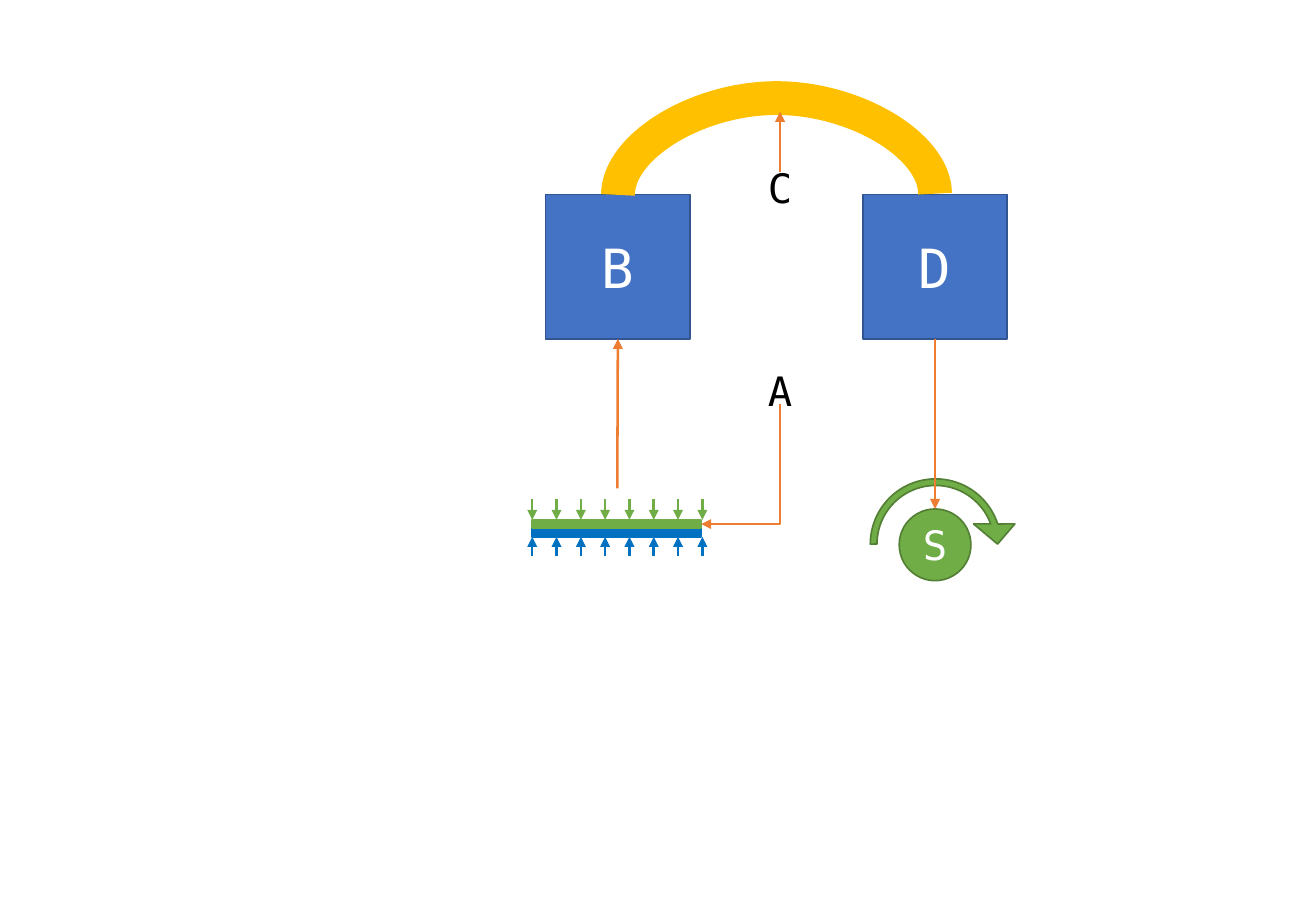
from dataclasses import dataclass
from typing import NamedTuple

from lxml.etree import SubElement
from pptx import Presentation
from pptx.dml.color import RGBColor
from pptx.enum.shapes import MSO_CONNECTOR, MSO_SHAPE
from pptx.enum.text import MSO_ANCHOR, PP_ALIGN
from pptx.oxml.ns import qn
from pptx.shapes.base import BaseShape
from pptx.util import Emu, Inches, Pt

PX = Inches(1) // 100
TOP, BOTTOM, RIGHT = 0, 2, 3


@dataclass(frozen=True)
class Theme:
    font: str = "DejaVu Sans Mono"
    blue: str = "4472C4"
    blue_edge: str = "325491"
    green: str = "70AD47"
    green_edge: str = "538035"
    deep_blue: str = "0070C0"
    orange: str = "ED7D31"
    gold: str = "FFC000"
    white: str = "FFFFFF"
    black: str = "000000"
    box_size: int = 32
    label_size: int = 24
    edge: float = 1
    arrow: float = 1.5
    arch: float = 20


class Joint(NamedTuple):
    """The middle of one side of a shape."""
    shape: BaseShape
    side: int


class Diagram:
    def __init__(self, slide, theme):
        self.s, self.theme = slide, theme

    def shape(self, kind, x, y, w, h, fill=None, edge=None, adjust=()):
        sp = self.s.shapes.add_shape(kind, *(Emu(v * PX) for v in (x, y, w, h)))
        sp.shadow.inherit = False
        for i, value in enumerate(adjust):
            sp.adjustments[i] = value
        if fill:
            sp.fill.solid()
            sp.fill.fore_color.rgb = RGBColor.from_string(fill)
            sp.line.color.rgb = RGBColor.from_string(edge or fill)
            sp.line.width = Pt(self.theme.edge)
        else:
            sp.fill.background()
            sp.line.fill.background()
        return sp

    def text(self, sp, text, size, color):
        tf = sp.text_frame
        tf.word_wrap = True
        tf.vertical_anchor = MSO_ANCHOR.MIDDLE
        p = tf.paragraphs[0]
        p.alignment = PP_ALIGN.CENTER
        r = p.add_run()
        r.text = text
        r.font.name, r.font.size = self.theme.font, Pt(size)
        r.font.color.rgb = RGBColor.from_string(color)

    def box(self, letter, x, y):
        sp = self.shape(MSO_SHAPE.RECTANGLE, x, y, 119, 119,
                        self.theme.blue, self.theme.blue_edge)
        self.text(sp, letter, self.theme.box_size, self.theme.white)
        return sp

    def label(self, letter, x, y):
        sp = self.shape(MSO_SHAPE.FLOWCHART_ALTERNATE_PROCESS, x, y, 54, 24)
        tf = sp.text_frame
        tf.margin_left = tf.margin_right = tf.margin_top = tf.margin_bottom = 0
        self.text(sp, letter, self.theme.label_size, self.theme.black)
        return sp

    def connector(self, begin, end, color, width, kind=MSO_CONNECTOR.STRAIGHT):
        """Link two ends, each an (x, y) point or a Joint."""
        ends = [(0, 0) if isinstance(e, Joint) else e for e in (begin, end)]
        cn = self.s.shapes.add_connector(kind, *(Emu(v * PX) for e in ends for v in e))
        if isinstance(begin, Joint):
            cn.begin_connect(*begin)
        if isinstance(end, Joint):
            cn.end_connect(*end)
        cn.line.color.rgb = RGBColor.from_string(color)
        cn.line.width = Pt(width)
        SubElement(cn._element.spPr, qn("a:effectLst"))
        return cn

    def arrow(self, begin, end, color, kind=MSO_CONNECTOR.STRAIGHT):
        cn = self.connector(begin, end, color, self.theme.arrow, kind)
        SubElement(cn.line._get_or_add_ln(), qn("a:tailEnd"), type="triangle")
        return cn

    def quarter_turn(self, cn, preset, flip=False, bend=None):
        """Route a connector so that it leaves its begin point vertically."""
        mid_x, mid_y = (cn.begin_x + cn.end_x) // 2, (cn.begin_y + cn.end_y) // 2
        w, h = max(abs(cn.end_y - cn.begin_y), PX), abs(cn.end_x - cn.begin_x)
        cn.left, cn.top = Emu(mid_x - w // 2), Emu(mid_y - h // 2)
        cn.width, cn.height = Emu(w), Emu(h)
        xfrm = cn._element.spPr.find(qn("a:xfrm"))
        xfrm.set("rot", str(90 * 60000))
        for key in ("flipH", "flipV"):
            xfrm.set(key, str(int(flip)))
        geom = cn._element.spPr.find(qn("a:prstGeom"))
        geom.set("prst", preset)
        if bend:
            SubElement(geom.find(qn("a:avLst")), qn("a:gd"),
                       name="adj1", fmla=f"val {bend * 100000}")


def main():
    prs = Presentation()
    prs.slide_width, prs.slide_height = Emu(1083 * PX), Emu(750 * PX)
    t = Theme()
    d = Diagram(prs.slides.add_slide(prs.slide_layouts[6]), t)

    spinner = d.shape(MSO_SHAPE.OVAL, 740, 419, 59, 59, t.green, t.green_edge)
    d.text(spinner, "S", t.label_size, t.white)
    d.shape(MSO_SHAPE.CIRCULAR_ARROW, 702, 380, 136, 136, t.green, t.green_edge,
            adjust=(0.04, 11.42, 204.58, 108, 0.125))

    box_b, box_d = d.box("B", 449, 160), d.box("D", 710, 160)
    arch = d.connector(Joint(box_b, TOP), Joint(box_d, TOP), t.gold, t.arch,
                       MSO_CONNECTOR.CURVE)
    d.quarter_turn(arch, "curvedConnector3", flip=True, bend=81)

    for color, start, stop in ((t.green, 411, 428), (t.deep_blue, 458, 442)):
        for x in range(438, 579, 20):
            d.arrow((x, start), (x, stop), color)
    d.shape(MSO_SHAPE.RECTANGLE, 438, 435, 139, 7, t.deep_blue)
    plate = d.shape(MSO_SHAPE.RECTANGLE, 438, 428, 139, 7, t.green)

    d.arrow(Joint(box_d, BOTTOM), Joint(spinner, TOP), t.orange)
    d.arrow((508, 402), Joint(box_b, BOTTOM), t.orange)

    label_a, label_c = d.label("A", 615, 309), d.label("C", 615, 142)
    elbow = d.arrow(Joint(label_a, BOTTOM), Joint(plate, RIGHT), t.orange,
                    MSO_CONNECTOR.ELBOW)
    d.quarter_turn(elbow, "bentConnector2")
    d.arrow(Joint(label_c, TOP), (642, 92), t.orange)

    prs.save("out.pptx")


if __name__ == "__main__":
    main()
